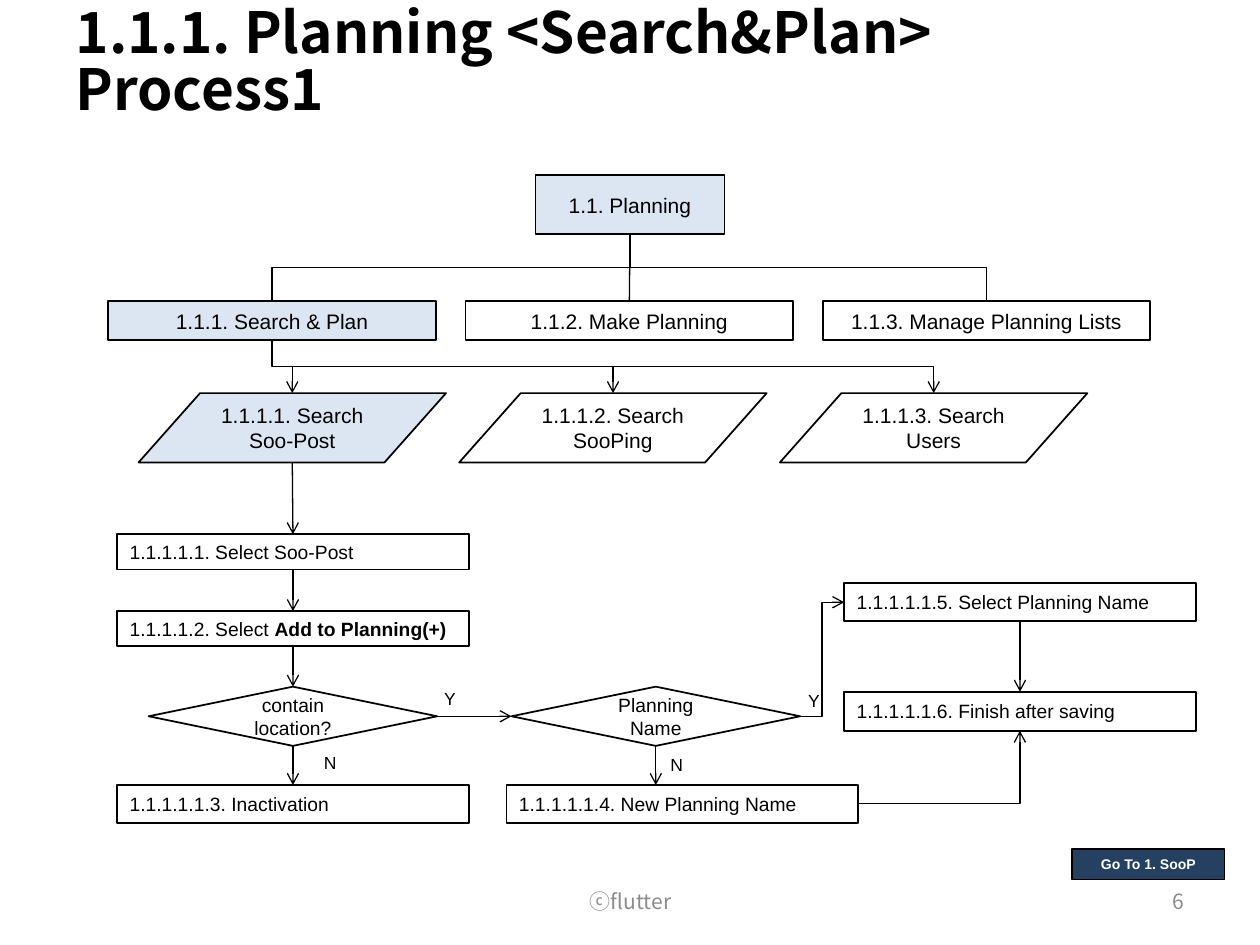
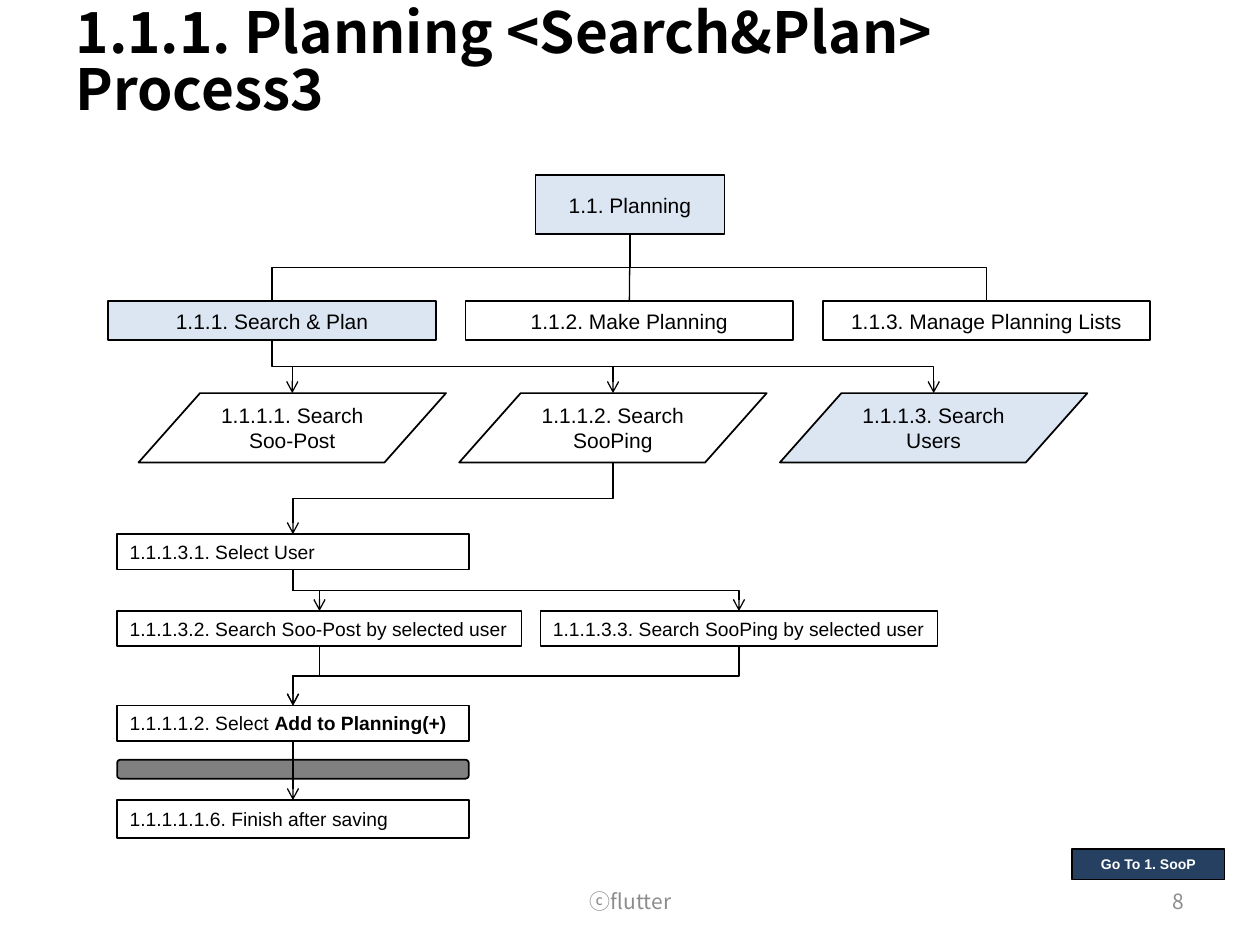
import pptx
import pptx.dml.color
import pptx.enum.shapes
import pptx.enum.text
import pptx.oxml.ns
import pptx.oxml.xmlchemy
import pptx.util

PX = 9144  # EMU in one px, 100 px to the inch
TOP, LEFT, BOTTOM, RIGHT = range(4)

BLACK = "000000"
WHITE = "FFFFFF"
HIGHLIGHT = "DCE6F2"
NAVY = "254061"
BAR_GREY = "808080"
FOOTER_GREY = "8C8C8C"
BODY_FONT = "Arial"
TITLE_FONT = "Noto Sans CJK KR"

SHAPES = pptx.enum.shapes.MSO_SHAPE
CONNECTORS = pptx.enum.shapes.MSO_CONNECTOR
ALIGN = pptx.enum.text.PP_ALIGN
MIDDLE = pptx.enum.text.MSO_ANCHOR.MIDDLE

STEP_LEFT, STEP_WIDTH = 93, 279
RIGHT_STEP_LEFT = 670


def px(*lengths):
    return [pptx.util.Emu(round(length * PX)) for length in lengths]


def color(hex_string):
    return pptx.dml.color.RGBColor.from_string(hex_string)


def add_xml(parent, tag, **attributes):
    element = pptx.oxml.xmlchemy.OxmlElement(tag)
    for name, value in attributes.items():
        element.set(name, value)
    parent.append(element)


def add_run(paragraph, text, size, font, hex_color, bold=False):
    run = paragraph.add_run()
    run.text = text
    run.font.size = pptx.util.Pt(size)
    run.font.bold = bold
    run.font.color.rgb = color(hex_color)
    run.font.name = font
    add_xml(run.font._element, "a:ea", typeface=font)


def write(shape, text, size, align=ALIGN.CENTER, font=BODY_FONT,
          hex_color=BLACK, bold=False, bold_tail=""):
    """Put one paragraph in the shape, ending in an optional bold run."""
    frame = shape.text_frame
    frame.word_wrap = True
    frame.vertical_anchor = MIDDLE
    paragraph = frame.paragraphs[0]
    paragraph.alignment = align
    add_run(paragraph, text, size, font, hex_color, bold)
    if bold_tail:
        add_run(paragraph, bold_tail, size, font, hex_color, True)


def add_title(slide, text):
    title = slide.shapes.title
    title.left, title.top, title.width, title.height = px(50, 13, 900, 77)
    write(title, text, 32.4, ALIGN.LEFT, TITLE_FONT, bold=True)
    title.text_frame.auto_size = pptx.enum.text.MSO_AUTO_SIZE.NONE
    title.text_frame.margin_right = px(20)[0]
    title.text_frame.paragraphs[0].line_spacing = 0.84


def add_label(slide, text, left, top, width=38, height=24, size=10, **style):
    label = slide.shapes.add_textbox(*px(left, top, width, height))
    write(label, text, size, **style)


def add_block(slide, kind, left, top, width, height, fill=None):
    block = slide.shapes.add_shape(kind, *px(left, top, width, height))
    block.shadow.inherit = False
    block.line.color.rgb = color(BLACK)
    block.line.width = pptx.util.Pt(1)
    if fill:
        block.fill.solid()
        block.fill.fore_color.rgb = color(fill)
    else:
        block.fill.background()
    return block


def add_step(slide, text, top, left=STEP_LEFT, width=STEP_WIDTH, height=28,
             bold_tail=""):
    step = add_block(slide, SHAPES.RECTANGLE, left, top, width, height)
    write(step, text, 11, ALIGN.LEFT, bold_tail=bold_tail)
    return step


def add_decision(slide, text, left):
    decision = add_block(slide, SHAPES.FLOWCHART_DECISION, left, 545, 229, 47)
    write(decision, text, 11)
    return decision


def side_point(shape, side):
    across = {LEFT: 0, RIGHT: 2}.get(side, 1)
    down = {TOP: 0, BOTTOM: 2}.get(side, 1)
    return (shape.left + shape.width * across // 2,
            shape.top + shape.height * down // 2)


def style_connector(connector, arrow):
    connector.line.color.rgb = color(BLACK)
    connector.line.width = pptx.util.Pt(0.75)
    if arrow:
        add_xml(connector.line._get_or_add_ln(), "a:tailEnd", type="arrow")
    add_xml(connector._element.spPr, "a:effectLst")


def connect_straight(slide, start, end, start_side=BOTTOM, end_side=TOP, arrow=True):
    """Draw a level or upright line, joined wherever it meets the middle of a side."""
    begin_x, begin_y = side_point(start, start_side)
    middle_x, end_y = side_point(end, end_side)
    end_x = begin_x if start_side == BOTTOM else middle_x
    connector = slide.shapes.add_connector(
        CONNECTORS.STRAIGHT, begin_x, begin_y, end_x, end_y)
    if start.auto_shape_type != SHAPES.FLOWCHART_DATA:
        connector.begin_connect(start, start_side)
    if abs(end_x - middle_x) < PX:
        connector.end_connect(end, end_side)
    style_connector(connector, arrow)


def connect_down(slide, start, end, arrow=True):
    """Draw an elbow from the bottom of start to the top of end: down, across, down."""
    begin_x, begin_y = side_point(start, BOTTOM)
    end_x, end_y = side_point(end, TOP)
    length, spread = end_y - begin_y, abs(end_x - begin_x)
    left = (begin_x + end_x - length) // 2
    top = (begin_y + end_y - spread) // 2
    connector = slide.shapes.add_connector(
        CONNECTORS.ELBOW, left, top, left + length, top + spread)
    transform = connector._element.spPr.find(pptx.oxml.ns.qn("a:xfrm"))
    if end_x > begin_x:
        transform.set("rot", "16200000")
        transform.set("flipH", "1")
    else:
        transform.set("rot", "5400000")
    style_connector(connector, arrow)


def connect_right(slide, start, end, end_side):
    """Draw an elbow that leaves start on its right; it turns once to end at a bottom."""
    connector = slide.shapes.add_connector(
        CONNECTORS.ELBOW, *side_point(start, RIGHT), *side_point(end, end_side))
    if end_side == BOTTOM:
        geometry = connector._element.spPr.find(pptx.oxml.ns.qn("a:prstGeom"))
        geometry.set("prst", "bentConnector2")
    style_connector(connector, arrow=True)


def add_planning_tree(slide, highlighted_search):
    """Draw the menu tree and return its three search blocks."""
    root = add_block(slide, SHAPES.RECTANGLE, 425, 139, 150, 47, HIGHLIGHT)
    write(root, "1.1. Planning", 12)

    menus = []
    menu_names = ["1.1.1. Search & Plan", "1.1.2. Make Planning",
                  "1.1.3. Manage Planning Lists"]
    for index, name in enumerate(menu_names):
        menu = add_block(slide, SHAPES.RECTANGLE, 86 + 283.5 * index, 239, 260, 31,
                         HIGHLIGHT if index == 0 else None)
        write(menu, name, 12)
        menus.append(menu)
    connect_straight(slide, root, menus[1], arrow=False)
    for menu in (menus[0], menus[2]):
        connect_down(slide, root, menu, arrow=False)

    searches = []
    search_names = ["1.1.1.1. Search Soo-Post", "1.1.1.2. Search SooPing",
                    "1.1.1.3. Search Users"]
    for index, name in enumerate(search_names):
        search = add_block(slide, SHAPES.FLOWCHART_DATA, 110 + 254.5 * index, 312, 244, 55,
                           HIGHLIGHT if index == highlighted_search else None)
        write(search, name, 12)
        connect_down(slide, menus[0], search)
        searches.append(search)
    return searches


def add_process_slide(presentation, title, number, highlighted_search):
    slide = presentation.slides.add_slide(presentation.slide_layouts[5])
    add_title(slide, title)
    footer = {"height": 40, "size": 12, "font": TITLE_FONT, "hex_color": FOOTER_GREY}
    add_label(slide, "ⓒflutter", 342, 695, 317, **footer)
    add_label(slide, number, 717, 695, 233, align=ALIGN.RIGHT, **footer)
    button = add_block(slide, SHAPES.RECTANGLE, 851, 674, 121, 24, NAVY)
    write(button, "Go To 1. SooP", 8, hex_color=WHITE, bold=True)
    return slide, add_planning_tree(slide, highlighted_search)


def add_post_process(presentation):
    slide, searches = add_process_slide(
        presentation, "1.1.1. Planning <Search&Plan> Process1", "6", 0)
    select_post = add_step(slide, "1.1.1.1.1. Select Soo-Post", 424)
    add_to_planning = add_step(slide, "1.1.1.1.2. Select ", 485,
                               bold_tail="Add to Planning(+)")
    has_location = add_decision(slide, "contain location?", 118)
    has_name = add_decision(slide, "Planning Name", 406)
    inactivation = add_step(slide, "1.1.1.1.1.3. Inactivation", 623, height=30)
    new_name = add_step(slide, "1.1.1.1.1.4. New Planning Name", 623, 402, height=30)
    select_name = add_step(slide, "1.1.1.1.1.5. Select Planning Name", 463,
                           RIGHT_STEP_LEFT, height=30)
    finish = add_step(slide, "1.1.1.1.1.6. Finish after saving", 549,
                      RIGHT_STEP_LEFT, height=31)

    for start, end in [(searches[0], select_post), (select_post, add_to_planning),
                       (add_to_planning, has_location), (has_location, inactivation),
                       (has_name, new_name), (select_name, finish)]:
        connect_straight(slide, start, end)
    connect_straight(slide, has_location, has_name, RIGHT, LEFT)
    connect_right(slide, has_name, select_name, LEFT)
    connect_right(slide, new_name, finish, BOTTOM)

    for answer, left, top in [("Y", 338, 542), ("N", 243, 593),
                              ("Y", 627, 544), ("N", 518, 595)]:
        add_label(slide, answer, left, top)


def add_user_process(presentation):
    slide, searches = add_process_slide(
        presentation, "1.1.1. Planning <Search&Plan> Process3", "8", 2)
    select_user = add_step(slide, "1.1.1.3.1. Select User", 424)
    user_posts = add_step(slide, "1.1.1.3.2. Search Soo-Post by selected user", 485,
                          width=321)
    user_pings = add_step(slide, "1.1.1.3.3. Search SooPing by selected user", 485,
                          429, 315)
    add_to_planning = add_step(slide, "1.1.1.1.2. Select ", 560,
                               bold_tail="Add to Planning(+)")
    finish = add_step(slide, "1.1.1.1.1.6. Finish after saving", 635, height=30)
    add_block(slide, SHAPES.ROUNDED_RECTANGLE, STEP_LEFT, 603, STEP_WIDTH, 15, BAR_GREY)

    connect_down(slide, searches[1], select_user)
    for user_search in (user_posts, user_pings):
        connect_down(slide, select_user, user_search)
        connect_down(slide, user_search, add_to_planning)
    connect_straight(slide, add_to_planning, finish)


def main():
    presentation = pptx.Presentation()
    presentation.slide_width, presentation.slide_height = px(1000, 750)
    add_post_process(presentation)
    add_user_process(presentation)
    presentation.save("out.pptx")


if __name__ == "__main__":
    main()
